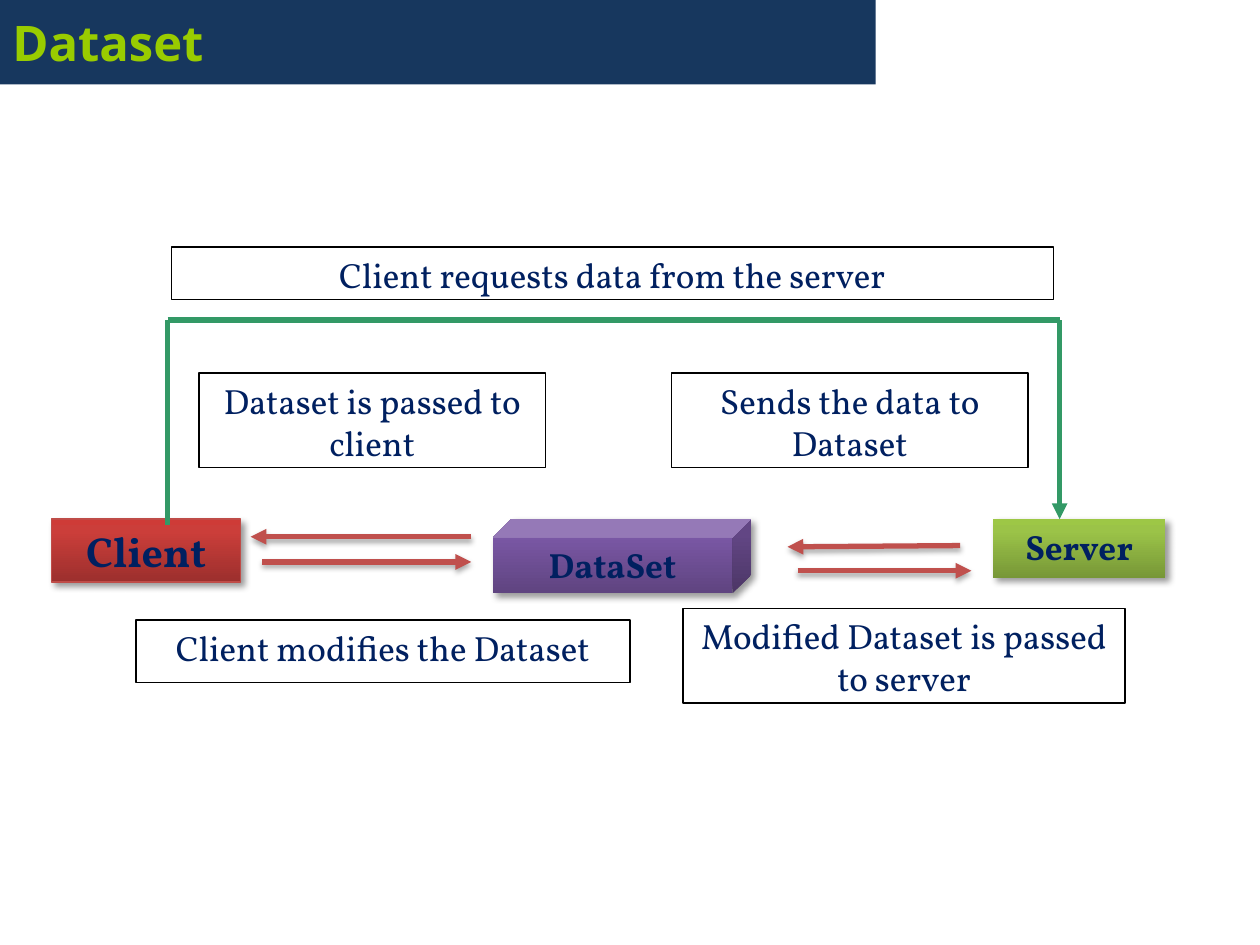
from lxml import etree
from pptx import Presentation
from pptx.dml.color import RGBColor
from pptx.enum.shapes import MSO_CONNECTOR, MSO_SHAPE
from pptx.enum.text import MSO_ANCHOR, PP_ALIGN
from pptx.oxml.ns import qn
from pptx.util import Inches, Pt

RECTANGLE, CUBE = MSO_SHAPE.RECTANGLE, MSO_SHAPE.CUBE
STRAIGHT = MSO_CONNECTOR.STRAIGHT
TOP, MIDDLE = MSO_ANCHOR.TOP, MSO_ANCHOR.MIDDLE
LEFT, CENTER = PP_ALIGN.LEFT, PP_ALIGN.CENTER

NAVY, GREEN, RED, BLACK = "002060", "339966", "C0504D", "000000"

# Shadows: opacity %, blur pt, distance pt, direction in degrees
NODE_SHADOW = (40, 4, 3, 45)
ARROW_SHADOW = (35, 3.1, 1.8, 90)

# Content: text and box as left, top, width, height
TITLE = ("Dataset", (0, 0, 6.95, 0.67))
# Nodes add preset shape, text size, gradient from bottom to top, outline
NODES = [
    ("Client", (0.41, 4.12, 1.5, 0.5), RECTANGLE, 24,
     ("9C2F2D", "CB3E3A", "CE3B37"), "BF4C48"),
    ("Server", (7.88, 4.12, 1.37, 0.47), RECTANGLE, 20,
     ("779737", "9BC348", "9DC746"), None),
    ("DataSet", (3.91, 4.12, 2.05, 0.59), CUBE, 20,
     ("5F4480", "7B58A6", "7C57A8"), None),
]
GRADIENT_POSITIONS = (0, 80, 100)
LABELS = [
    ("Client requests data from the server", (1.36, 1.96, 7, 0.42)),
    ("Dataset is passed to client", (1.58, 2.96, 2.75, 0.75)),
    ("Sends the data to Dataset", (5.33, 2.96, 2.83, 0.75)),
    ("Client modifies the Dataset", (1.08, 4.92, 3.92, 0.5)),
    ("Modified Dataset is passed to server", (5.42, 4.83, 3.51, 0.75)),
]
# Request route from client up, across and down to server
ROUTE = [(1.33, 4.17), (1.33, 2.54), (8.41, 2.54), (8.41, 4.12)]
EXCHANGES = [
    ((3.74, 4.26), (1.99, 4.26)),
    ((2.08, 4.46), (3.74, 4.46)),
    ((7.62, 4.33), (6.25, 4.34)),
    ((6.33, 4.53), (7.71, 4.53)),
]


def color(value):
    return RGBColor.from_string(value)


def add_color_xml(parent, value):
    return etree.SubElement(parent, qn("a:srgbClr"), val=value)


def set_line(line, value, width):
    if value is None:
        line.fill.background()
    else:
        line.color.rgb = color(value)
        line.width = Pt(width)


def set_gradient(shape, colors):
    shape.fill.gradient()
    shape.fill.gradient_angle = 90
    stops = shape._element.spPr.find(".//" + qn("a:gsLst"))
    for stop in list(stops):
        stops.remove(stop)
    for position, value in zip(GRADIENT_POSITIONS, colors):
        stop = etree.SubElement(stops, qn("a:gs"), pos=str(position * 1000))
        add_color_xml(stop, value)


def set_shadow(shape, shadow=None):
    """Replace the theme shadow by the given one, or by none."""
    effects = etree.SubElement(shape._element.spPr, qn("a:effectLst"))
    if shadow:
        opacity, blur, distance, direction = shadow
        outer = etree.SubElement(
            effects, qn("a:outerShdw"), blurRad=str(Pt(blur)), dist=str(Pt(distance)),
            dir=str(direction * 60000), rotWithShape="0")
        etree.SubElement(add_color_xml(outer, BLACK), qn("a:alpha"),
                         val=str(opacity * 1000))


def add_box(slide, text, box, font, kind=RECTANGLE, align=CENTER, anchor=TOP,
            fill=None, gradient=None, outline=None, shadow=None):
    shape = slide.shapes.add_shape(kind, *map(Inches, box))
    if gradient:
        set_gradient(shape, gradient)
    elif fill:
        shape.fill.solid()
        shape.fill.fore_color.rgb = color(fill)
    else:
        shape.fill.background()
    set_line(shape.line, outline, 0.75)
    set_shadow(shape, shadow)

    frame = shape.text_frame
    frame.word_wrap = True
    frame.vertical_anchor = anchor
    paragraph = frame.paragraphs[0]
    paragraph.alignment = align
    run = paragraph.add_run()
    run.text = text
    font = {"name": "Vollkorn", "size": Pt(20), "bold": False, "color": NAVY, **font}
    run.font.color.rgb = color(font.pop("color"))
    for name, value in font.items():
        setattr(run.font, name, value)


def add_line(slide, start, end, value, arrow=True, shadow=None):
    connector = slide.shapes.add_connector(STRAIGHT, *map(Inches, start + end))
    set_line(connector.line, value, 3)
    if arrow:
        etree.SubElement(connector._element.spPr.find(qn("a:ln")),
                         qn("a:tailEnd"), type="triangle")
    set_shadow(connector, shadow)


def main():
    presentation = Presentation()
    presentation.slide_width, presentation.slide_height = Inches(10), Inches(7.5)
    slide = presentation.slides.add_slide(presentation.slide_layouts[6])

    # Title band
    add_box(slide, *TITLE, {"name": "Open Sans", "size": Pt(28), "bold": True,
                            "color": "99CC00"},
            align=LEFT, anchor=MIDDLE, fill="17375E")

    # Client, server and dataset
    for text, box, kind, size, gradient, outline in NODES:
        add_box(slide, text, box, {"size": Pt(size), "bold": True}, kind=kind,
                gradient=gradient, outline=outline, shadow=NODE_SHADOW)

    # Request route, with an arrowhead on its last leg
    for start, end in zip(ROUTE, ROUTE[1:]):
        add_line(slide, start, end, GREEN, arrow=end == ROUTE[-1])

    # Data exchanges
    for start, end in EXCHANGES:
        add_line(slide, start, end, RED, shadow=ARROW_SHADOW)

    # Step labels
    for text, box in LABELS:
        add_box(slide, text, box, {}, outline=BLACK)

    presentation.save("out.pptx")


if __name__ == "__main__":
    main()
